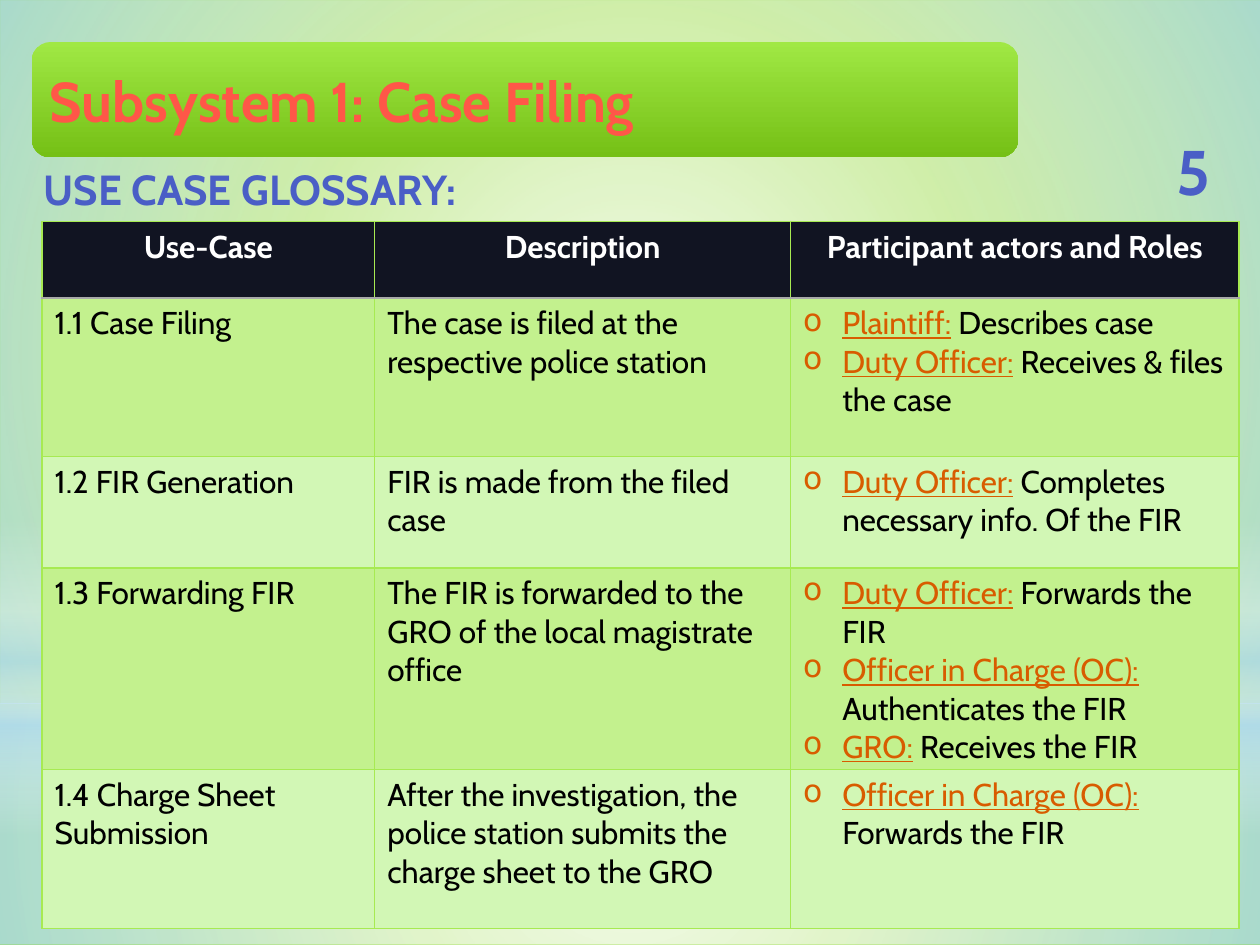
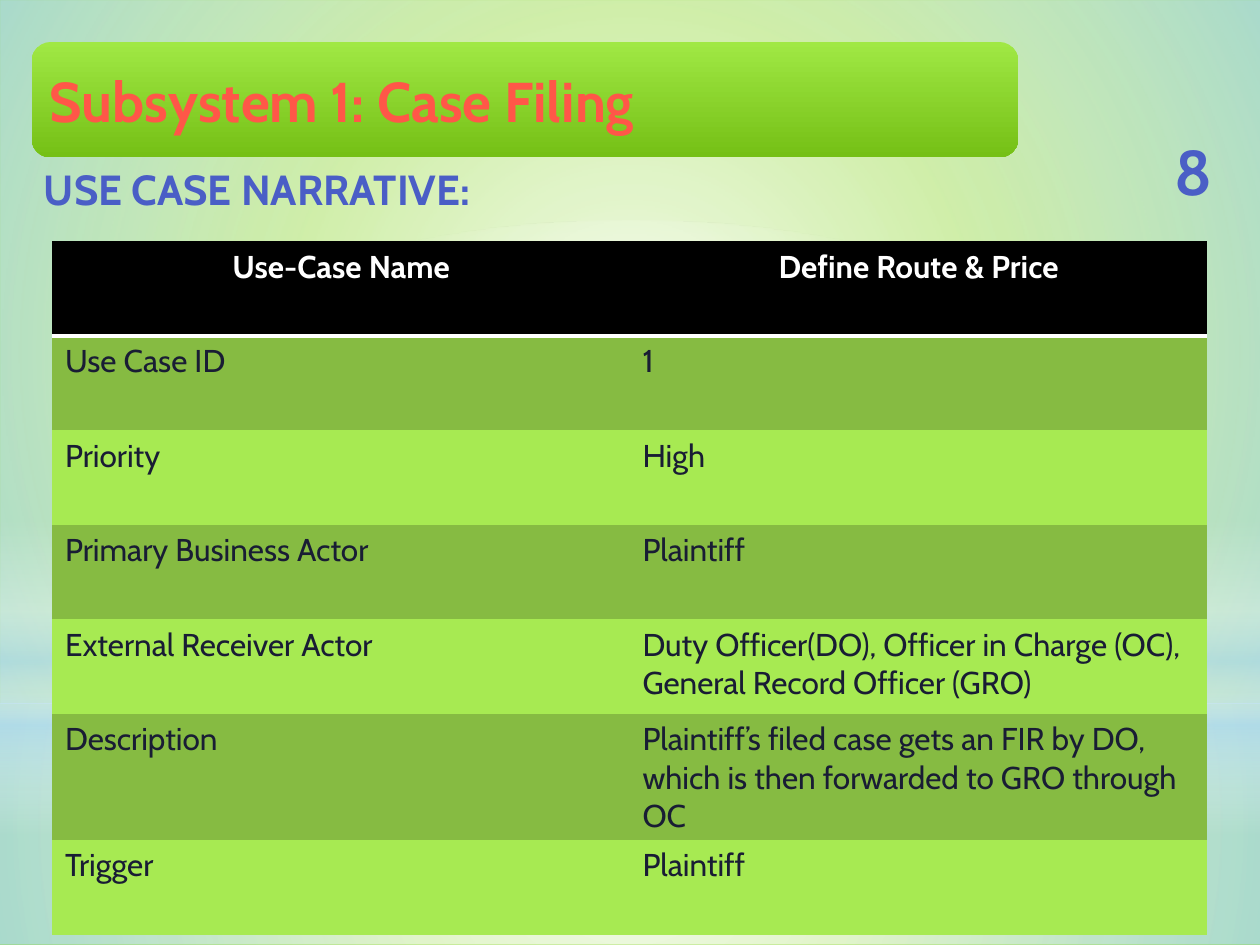
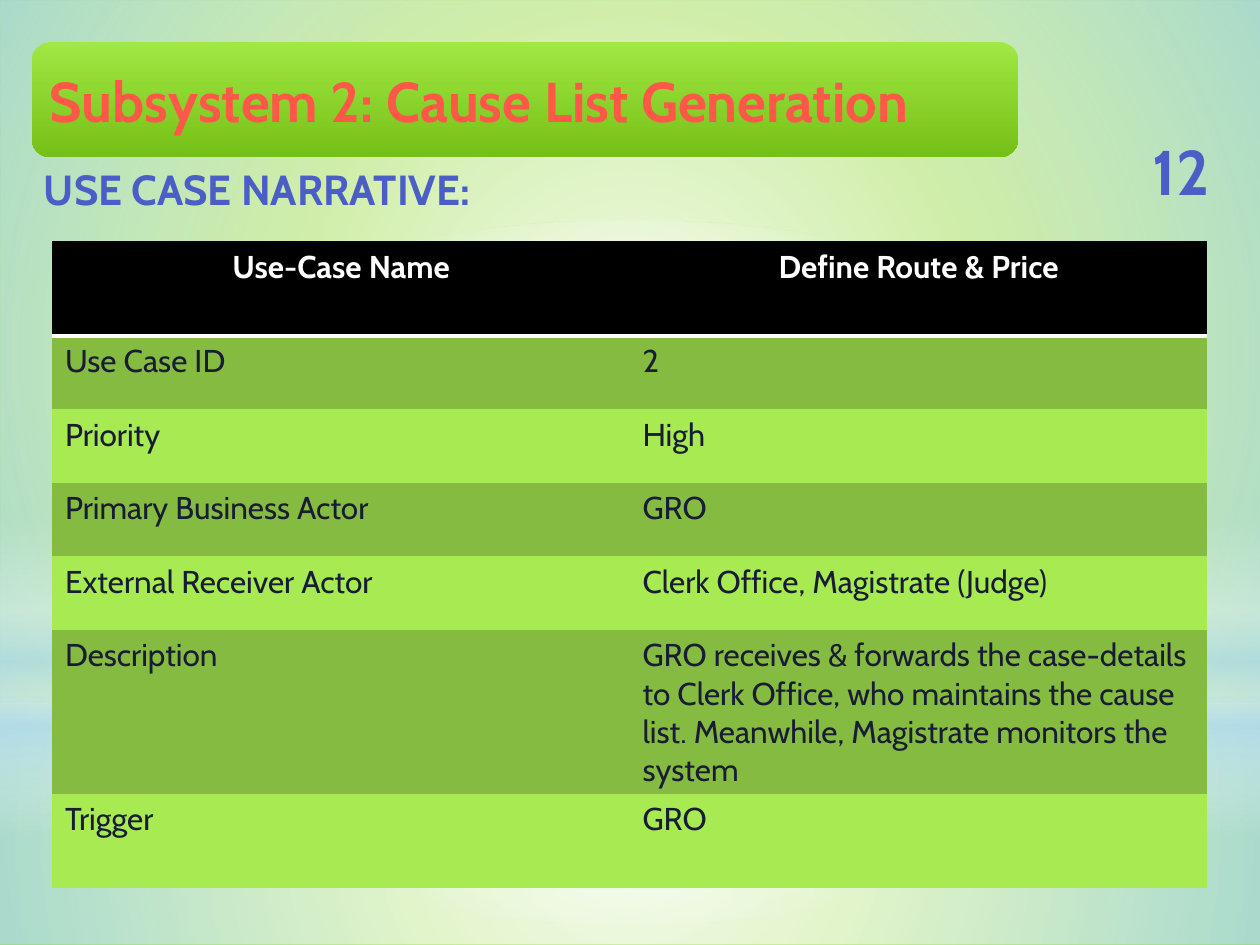
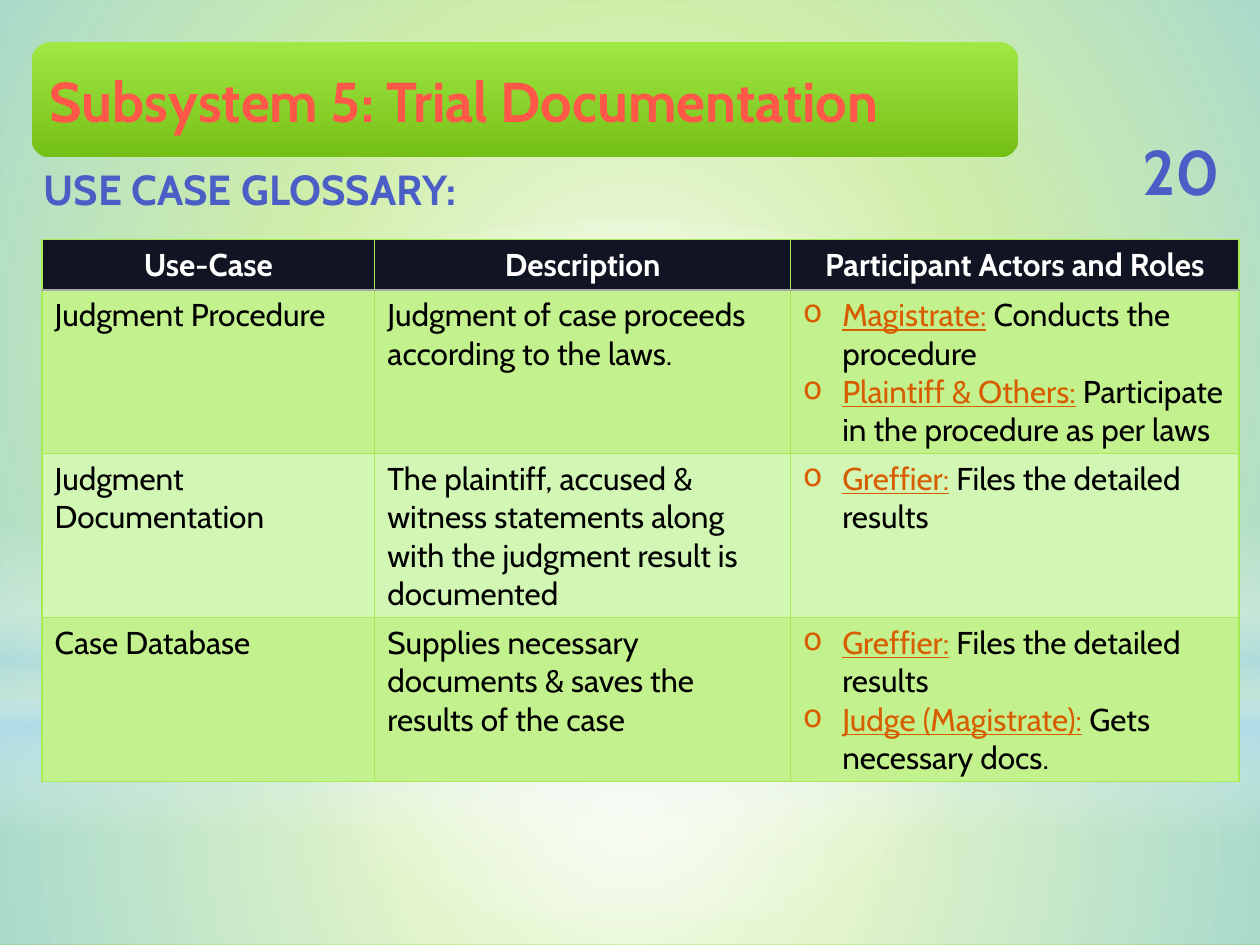
"""Build four use-case slides: two glossaries and two narratives."""
from dataclasses import dataclass, field
from typing import NamedTuple, Optional, Union

from lxml import etree
from pptx import Presentation
from pptx.dml.color import RGBColor
from pptx.enum import shapes, text
from pptx.oxml import ns
from pptx.util import Emu, Inches, Pt

UNIT = Inches(1 / 12)
COLUMNS, ROWS = 120, 90
PLAIN_TABLE_STYLE = "{2D5ABB26-0587-4C30-8999-92F81FD0307C}"


@dataclass(frozen=True)
class Theme:
    """Colours, font and type sizes of the presentation."""
    font: str = "Cabin"
    title_size: int = 32
    subtitle_size: int = 24
    number_size: int = 36
    table_size: int = 18
    backdrop: str = "81D31A"
    white: str = "FFFFFF"
    black: str = "000000"
    sky: str = "B4DCFA"
    band_top: str = "A0E844"
    band_bottom: str = "75C016"
    title: str = "FF5748"
    accent: str = "4A5EC6"
    actor: str = "D85C00"
    lime: str = "A7EA52"
    olive: str = "86BB42"
    lime_soft: str = "C3F18E"
    lime_pale: str = "D2F7B5"
    navy: str = "111422"
    ink: str = "191D34"
    gray: str = "A9A9A9"


THEME = Theme()


class Box(NamedTuple):
    """A place on the grid, in columns and rows."""
    left: float
    top: float
    width: float
    height: float


class Stop(NamedTuple):
    """One gradient stop: position and opacity in percent."""
    position: int
    color: str
    opacity: int = 100


class Glow(NamedTuple):
    """A gradient shape of the background."""
    box: Box
    preset: shapes.MSO_SHAPE
    stops: tuple[Stop, ...]
    radial: bool = True


class Role(NamedTuple):
    """An actor and what the actor does."""
    actor: str
    action: str


class Border(NamedTuple):
    """A cell border: colour and width in points."""
    color: str
    width: float


Cell = Union[str, tuple[Role, ...]]


@dataclass(frozen=True)
class TableStyle:
    """Look and columns shared by tables of one kind."""
    left: float
    columns: tuple[float, ...]
    header_fill: str
    body_color: str
    bands: tuple[str, str]
    header_rule: Border
    grid: Optional[Border] = None


@dataclass(frozen=True)
class Page:
    """The content of one slide."""
    title: str
    subtitle: str
    subtitle_width: float
    number: int
    style: TableStyle
    top: float
    row_heights: tuple[float, ...]
    cells: list[tuple[Cell, ...]] = field(default_factory=list)


GLOSSARY = TableStyle(4, (31.7, 39.6, 42.7), THEME.navy, THEME.black,
                      (THEME.lime_soft, THEME.lime_pale),
                      Border(THEME.gray, 1.25), Border(THEME.lime, 0.75))
NARRATIVE = TableStyle(5, (55, 55), THEME.black, THEME.ink,
                       (THEME.olive, THEME.lime), Border(THEME.white, 2))

RECTANGLE = shapes.MSO_SHAPE.RECTANGLE
GLOWS = (
    Glow(Box(0, 67, COLUMNS, 23), RECTANGLE,
         (Stop(0, THEME.white, 91), Stop(37, THEME.white, 76), Stop(100, THEME.sky, 79))),
    Glow(Box(0, 0, COLUMNS, 67), RECTANGLE,
         (Stop(0, THEME.white, 89), Stop(48, THEME.white, 62), Stop(100, THEME.sky, 79))),
    Glow(Box(0, 49.5, COLUMNS, 30), RECTANGLE,
         (Stop(0, THEME.white, 0), Stop(29, THEME.white, 30), Stop(45, THEME.sky, 40),
          Stop(55, THEME.white, 26), Stop(65, THEME.sky, 60), Stop(100, THEME.white, 0)),
         radial=False),
    Glow(Box(0, 21, COLUMNS, 67), shapes.MSO_SHAPE.OVAL,
         (Stop(0, THEME.white), Stop(56, THEME.white, 0))),
)
BAND_STOPS = (Stop(0, THEME.band_top), Stop(100, THEME.band_bottom))
BAND_BOX = Box(3, 4, 94, 11)


def narrative_cells(number: str, actor: str, receivers: str,
                    description: str) -> list[tuple[Cell, ...]]:
    """Return the rows of a narrative table."""
    return [
        ("Use-Case Name", "Define Route & Price"),
        ("Use Case ID", number),
        ("Priority", "High"),
        ("Primary Business Actor", actor),
        ("External Receiver Actor", receivers),
        ("Description", description),
        ("Trigger", actor),
    ]


PAGES = (
    Page("Subsystem 1: Case Filing", "USE CASE GLOSSARY:", 42.7, 5, GLOSSARY,
         21.1, (7.3, 15.1, 10.6, 18.5, 15.1), [
             ("Use-Case", "Description", "Participant actors and Roles"),
             ("1.1 Case Filing", "The case is filed at the respective police station",
              (Role("Plaintiff:", "Describes case"),
               Role("Duty Officer:", "Receives & files the case"))),
             ("1.2 FIR Generation", "FIR is made from the filed case",
              (Role("Duty Officer:", "Completes necessary info. Of the FIR"),)),
             ("1.3 Forwarding FIR",
              "The FIR is forwarded to the GRO of the local magistrate office",
              (Role("Duty Officer:", "Forwards the FIR"),
               Role("Officer in Charge (OC):", "Authenticates the FIR"),
               Role("GRO:", "Receives the FIR"))),
             ("1.4 Charge Sheet Submission",
              "After the investigation, the police station submits the charge sheet to the GRO",
              (Role("Officer in Charge (OC):", "Forwards the FIR"),)),
         ]),
    Page("Subsystem 1: Case Filing", "USE CASE NARRATIVE:", 76, 8, NARRATIVE,
         23, (9,) * 7, narrative_cells(
             "1", "Plaintiff",
             "Duty Officer(DO), Officer in Charge (OC), General Record Officer (GRO)",
             "Plaintiff’s filed case gets an FIR by DO, which is then forwarded to GRO "
             "through OC")),
    Page("Subsystem 2: Cause List Generation", "USE CASE NARRATIVE:", 76, 12, NARRATIVE,
         23, (9, 7, 7, 7, 7, 9, 9), narrative_cells(
             "2", "GRO", "Clerk Office, Magistrate (Judge)",
             "GRO receives & forwards the case-details to Clerk Office, who maintains "
             "the cause list. Meanwhile, Magistrate monitors the system")),
    Page("Subsystem 5: Trial Documentation", "USE CASE GLOSSARY:", 42.7, 20, GLOSSARY,
         22.8, (4.2, 10.4, 10.4, 7.3), [
             ("Use-Case", "Description", "Participant Actors and Roles"),
             ("Judgment Procedure", "Judgment of case proceeds according to the laws.",
              (Role("Magistrate:", "Conducts the procedure"),
               Role("Plaintiff & Others:", "Participate in the procedure as per laws"))),
             ("Judgment Documentation",
              "The plaintiff, accused & witness statements along with the judgment "
              "result is documented",
              (Role("Greffier:", "Files the detailed results"),)),
             ("Case Database", "Supplies necessary documents & saves the results of the case",
              (Role("Greffier:", "Files the detailed results"),
               Role("Judge (Magistrate):", "Gets necessary docs."))),
         ]),
)


def grid(length: float) -> Emu:
    """Turn a count of grid units into a length."""
    return Emu(round(length * UNIT))


def place(box: Box) -> tuple[Emu, ...]:
    """Turn a box into left, top, width and height."""
    return tuple(grid(length) for length in box)


def child(parent, tag: str, **attributes):
    """Append a drawing element with its attributes."""
    return etree.SubElement(parent, ns.qn(tag),
                            {name: str(value) for name, value in attributes.items()})


def fill_gradient(shape, stops: tuple[Stop, ...], radial: bool) -> None:
    """Fill a shape with a radial or a downward gradient."""
    shape.fill.background()
    properties = shape.element.spPr
    gradient = etree.Element(ns.qn("a:gradFill"), rotWithShape="1")
    stop_list = child(gradient, "a:gsLst")
    for stop in stops:
        item = child(stop_list, "a:gs", pos=stop.position * 1000)
        color = child(item, "a:srgbClr", val=stop.color)
        if stop.opacity < 100:
            child(color, "a:alpha", val=stop.opacity * 1000)
    if radial:
        route = child(gradient, "a:path", path="circle")
        child(route, "a:fillToRect", l=50000, t=50000, r=50000, b=50000)
    else:
        child(gradient, "a:lin", ang=5400000, scaled=0)
    properties.replace(properties.find(ns.qn("a:noFill")), gradient)


def add_gradient_shape(slide, preset, box: Box, stops: tuple[Stop, ...], radial: bool):
    """Add a preset shape with a gradient and no line."""
    shape = slide.shapes.add_shape(preset, *place(box))
    shape.shadow.inherit = False
    shape.line.fill.background()
    fill_gradient(shape, stops, radial)
    return shape


def add_run(paragraph, words: str, size: int, color: str,
            bold: bool = False, underline: bool = False) -> None:
    """Add one run in the theme font."""
    run = paragraph.add_run()
    run.text = words
    font = run.font
    font.name, font.size, font.bold = THEME.font, Pt(size), bold
    font.color.rgb = RGBColor.from_string(color)
    if underline:
        font.underline = True


def add_label(slide, box: Box, words: str, size: int, centered: bool = False) -> None:
    """Add a bold text box in the accent colour."""
    frame = slide.shapes.add_textbox(*place(box)).text_frame
    frame.word_wrap = True
    paragraph = frame.paragraphs[0]
    if centered:
        frame.vertical_anchor = text.MSO_ANCHOR.MIDDLE
        paragraph.alignment = text.PP_ALIGN.CENTER
    add_run(paragraph, words, size, THEME.accent, bold=True)


def add_title(slide, words: str) -> None:
    """Add the green title band."""
    band = add_gradient_shape(slide, shapes.MSO_SHAPE.ROUNDED_RECTANGLE,
                              BAND_BOX, BAND_STOPS, radial=False)
    frame = band.text_frame
    frame.word_wrap = True
    frame.vertical_anchor = text.MSO_ANCHOR.MIDDLE
    frame.paragraphs[0].alignment = text.PP_ALIGN.LEFT
    add_run(frame.paragraphs[0], words, THEME.title_size, THEME.title, bold=True)


def add_number(slide, number: int) -> None:
    """Add the slide number, with a wider box for two digits."""
    width = 9.4 if number < 10 else 11.8
    add_label(slide, Box(118.4 - width, 13, width, 6.5), str(number),
              THEME.number_size, centered=True)


def set_borders(cell, borders: dict[str, Border]) -> None:
    """Draw the given sides of a cell."""
    properties = cell._tc.get_or_add_tcPr()
    for side, border in borders.items():
        line = child(properties, f"a:ln{side}", w=Pt(border.width))
        child(child(line, "a:solidFill"), "a:srgbClr", val=border.color)


def write_roles(cell, roles: tuple[Role, ...], color: str) -> None:
    """Write a bulleted list of actors and their actions."""
    frame = cell.text_frame
    for index, role in enumerate(roles):
        paragraph = frame.add_paragraph() if index else frame.paragraphs[0]
        properties = paragraph._p.get_or_add_pPr()
        indent = Inches(0.31)
        properties.set("marL", str(indent))
        properties.set("indent", str(-indent))
        child(properties, "a:buChar", char="o")
        add_run(paragraph, role.actor, THEME.table_size, THEME.actor, underline=True)
        add_run(paragraph, f" {role.action}", THEME.table_size, color)


def style_cell(cell, style: TableStyle, row: int) -> None:
    """Set the borders and fill of a cell by its row."""
    borders = {}
    if style.grid:
        sides = "LRB" if row else "LRT"
        borders = {side: style.grid for side in sides}
    if row == 0:
        borders["B"] = style.header_rule
    set_borders(cell, borders)
    cell.fill.solid()
    fill = style.bands[(row - 1) % 2] if row else style.header_fill
    cell.fill.fore_color.rgb = RGBColor.from_string(fill)


def add_page_table(slide, page: Page) -> None:
    """Add the table of a page."""
    style = page.style
    box = Box(style.left, page.top, sum(style.columns), sum(page.row_heights))
    table = slide.shapes.add_table(len(page.cells), len(style.columns), *place(box)).table
    table.first_row = table.horz_banding = False
    table._tbl.tblPr.find(ns.qn("a:tableStyleId")).text = PLAIN_TABLE_STYLE
    for column, width in zip(table.columns, style.columns):
        column.width = grid(width)
    for row, (height, contents) in enumerate(zip(page.row_heights, page.cells)):
        table.rows[row].height = grid(height)
        for column, content in enumerate(contents):
            cell = table.cell(row, column)
            style_cell(cell, style, row)
            if not isinstance(content, str):
                write_roles(cell, content, style.body_color)
                continue
            paragraph = cell.text_frame.paragraphs[0]
            if row == 0:
                paragraph.alignment = text.PP_ALIGN.CENTER
            add_run(paragraph, content, THEME.table_size,
                    style.body_color if row else THEME.white, bold=row == 0)


def dress_master(presentation, slide) -> None:
    """Draw the glows on a slide and move them to the master."""
    master = presentation.slide_master
    master.background.fill.solid()
    master.background.fill.fore_color.rgb = RGBColor.from_string(THEME.backdrop)
    tree = master.element.cSld.spTree
    for index, glow in enumerate(GLOWS):
        shape = add_gradient_shape(slide, glow.preset, glow.box, glow.stops, glow.radial)
        shape.name = f"Background glow {index + 1}"
        shape.element.nvSpPr.cNvPr.set("id", str(100 + index))
        tree.insert(2 + index, shape.element)


def main() -> None:
    """Build and save the presentation."""
    presentation = Presentation()
    presentation.slide_width, presentation.slide_height = grid(COLUMNS), grid(ROWS)
    blank = presentation.slide_layouts[6]
    for index, page in enumerate(PAGES):
        slide = presentation.slides.add_slide(blank)
        if index == 0:
            dress_master(presentation, slide)
        add_title(slide, page.title)
        add_number(slide, page.number)
        add_label(slide, Box(3, 15, page.subtitle_width, 6), page.subtitle,
                  THEME.subtitle_size)
        add_page_table(slide, page)
    presentation.save("out.pptx")


if __name__ == "__main__":
    main()
